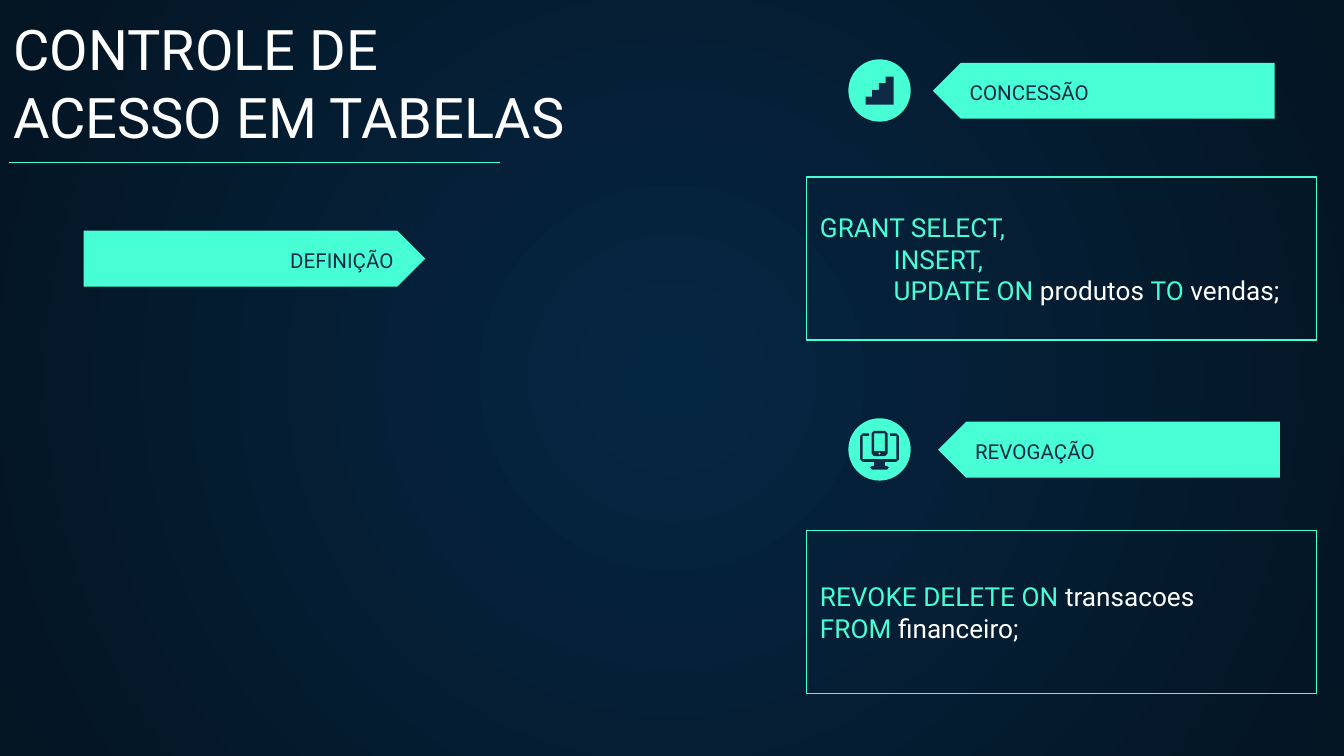
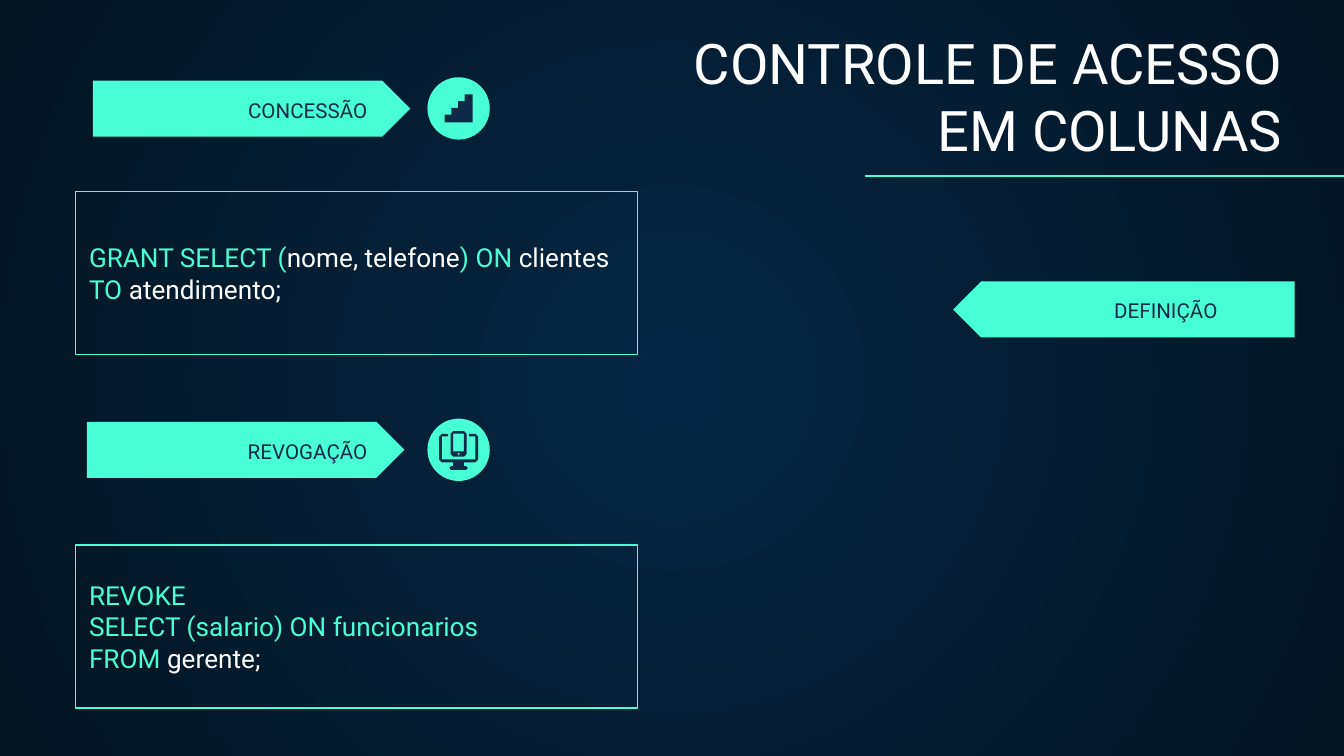
from lxml.etree import SubElement
from pptx import Presentation
from pptx.dml.color import RGBColor
from pptx.enum.shapes import MSO_CONNECTOR as CONN, MSO_SHAPE as SHP
from pptx.enum.text import MSO_ANCHOR as ANC, PP_ALIGN as AL
from pptx.oxml.ns import qn
from pptx.util import Pt

MINT, NAVY, WHITE = "48FFD5", "0E2A47", "FFFFFF"
GLOW, EDGE = "052643", "041523"
FRAME = {"word_wrap": True, "margin_left": Pt(7.2), "margin_right": Pt(7.2),
         "margin_top": Pt(7.2), "margin_bottom": Pt(7.2)}


def rgb(value):
    """Turn a hex string into a colour."""
    return RGBColor.from_string(value)


def mirror(half):
    """Close a right half outline with its reflection about x = 0."""
    return half + [(-x, y) for x, y in reversed(half) if x]


def stairs():
    """Return the outline of a four-step staircase."""
    pts = [(7.5, 7.5), (-7.5, 7.5)]
    for i in range(4):
        x, y = -7.5 + 3.6 * i, 3.3 - 3.6 * i
        pts += [(x, y), (x + 3.6 if i < 3 else 7.5, y)]
    return pts


STAIRS = [[stairs()]]
DEVICES = [
    [mirror([(0, 10.8), (4, 10.8), (5, 9.7), (4, 8.8), (2.9, 8.8),
             (2.9, 6.7), (9, 6.7), (10.4, 5.3), (10.4, -7.2), (9, -8.6),
             (5.6, -8.6), (5.6, -7.2), (9, -7.2), (9, 5.2), (0, 5.2)])],
    [mirror([(0, -10), (2.9, -10), (4.3, -8.6), (4.3, 2.2), (2.9, 3.6), (0, 3.6)]),
     mirror([(0, 0.9), (2.9, 0.9), (2.9, -8.6), (0, -8.6)]),
     mirror([(0, 2.9), (0.7, 2.2), (0, 1.5)])],
]


class Deck:
    """Holds the shared style and the current slide."""

    def __init__(self):
        """Set the slide size and the radial background."""
        self.prs = Presentation()
        self.prs.slide_width, self.prs.slide_height = Pt(720), Pt(405)
        self.s = None
        master = self.prs.slide_master
        fill = master.background.fill
        fill.gradient()
        for stop, pos, color in zip(fill.gradient_stops, (0, 1), (GLOW, EDGE)):
            stop.position = pos
            stop.color.rgb = rgb(color)
        grad = master.element.xpath("p:cSld/p:bg//a:gradFill")[0]
        for lin in grad.findall(qn("a:lin")):
            grad.remove(lin)
        circle = SubElement(grad, qn("a:path"), {"path": "circle"})
        SubElement(circle, qn("a:fillToRect"), dict.fromkeys("ltrb", "50000"))

    def slide(self):
        """Start a blank slide."""
        self.s = self.prs.slides.add_slide(self.prs.slide_layouts[6])

    def paint(self, sp, fill=None, line=None):
        """Apply flat fill and line to a shape."""
        sp.shadow.inherit = False
        for part, color in ((sp.fill, fill), (sp.line.fill, line)):
            if color:
                part.solid()
                part.fore_color.rgb = rgb(color)
            else:
                part.background()
        if line:
            sp.line.width = Pt(0.75)

    def shape(self, kind, box, fill=None, line=None):
        """Add a preset shape."""
        sp = self.s.shapes.add_shape(kind, *map(Pt, box))
        self.paint(sp, fill, line)
        return sp

    def fill_text(self, sp, lines, size, colors, align=AL.LEFT, anchor=ANC.BOTTOM):
        """Fill a frame with lines whose runs alternate between colours."""
        tf = sp.text_frame
        for name, value in {**FRAME, "vertical_anchor": anchor}.items():
            setattr(tf, name, value)
        for i, line in enumerate(lines):
            p = tf.add_paragraph() if i else tf.paragraphs[0]
            p.alignment = align
            if line[0].startswith(" "):
                p._p.get_or_add_pPr().set("indent", str(Pt(36)))
            for j, text in enumerate(line):
                r = p.add_run()
                r.text = text
                for name, value in {"name": "Roboto", "size": Pt(size)}.items():
                    setattr(r.font, name, value)
                r.font.color.rgb = rgb(colors[j % len(colors)])

    def text(self, box, lines, size, color, align):
        """Add a one-colour text box."""
        sp = self.s.shapes.add_textbox(*map(Pt, box))
        self.fill_text(sp, [[t] for t in lines], size, [color], align)

    def title(self, box, lines, align, x1, x2):
        """Add the slide title and the rule under it."""
        self.text(box, lines, 30, WHITE, align)
        y = Pt(box[1] + box[3])
        c = self.s.shapes.add_connector(CONN.STRAIGHT, Pt(x1), y, Pt(x2), y)
        c.line.color.rgb = rgb(MINT)
        c.line.width = Pt(0.75)
        SubElement(c.element.spPr, qn("a:effectLst"))

    def tag(self, x, y, text, text_x, width=183, flip=False, align=AL.RIGHT):
        """Add an arrow-shaped label."""
        sp = self.shape(SHP.PENTAGON, (x, y, width, 30), MINT)
        sp.rotation = 180 if flip else 0
        self.text((text_x, y + 0.9, 163.4, 28), [text], 11, NAVY, align)

    def icon(self, cx, cy, parts):
        """Add a round badge with an outline icon in its centre."""
        self.shape(SHP.OVAL, (cx - 16.7, cy - 16.7, 33.4, 33.4), MINT)
        for loops in parts:
            fb = None
            for loop in loops:
                pts = [(Pt(cx + x), Pt(cy + y)) for x, y in loop]
                if fb:
                    fb.move_to(*pts[0])
                else:
                    fb = self.s.shapes.build_freeform(*pts[0])
                fb.add_line_segments(pts[1:], close=True)
            self.paint(fb.convert_to_shape(), NAVY)

    def code(self, x, y, width, lines):
        """Add a framed statement with keywords and names in turn."""
        sp = self.shape(SHP.RECTANGLE, (x, y, width, 87.3), line=MINT)
        self.fill_text(sp, lines, 14, [MINT, WHITE], anchor=ANC.MIDDLE)


def tables(d):
    """Build the slide on table access."""
    d.slide()
    d.title((0, 0, 350, 87.2), ["CONTROLE DE", "ACESSO EM TABELAS"], AL.LEFT, 5, 267.8)
    d.tag(44.8, 123.6, "DEFINIÇÃO", 54.6)
    d.tag(499.8, 33.6, "CONCESSÃO", 512.4, flip=True, align=AL.LEFT)
    d.icon(471.2, 48.5, STAIRS)
    d.code(432.2, 94.9, 273, [
        ["GRANT SELECT,"], [" INSERT,"],
        [" UPDATE ON ", "produtos ", "TO ", "vendas;"]])
    d.tag(502.6, 225.9, "REVOGAÇÃO", 515.3, flip=True, align=AL.LEFT)
    d.icon(471.2, 240.8, DEVICES)
    d.code(432.2, 284.2, 273, [
        ["REVOKE DELETE ON ", "transacoes"], ["FROM ", "financeiro;"]])


def columns(d):
    """Build the slide on column access."""
    d.slide()
    d.title((358, 7.1, 336, 87.2), ["CONTROLE DE ACESSO EM COLUNAS"], AL.RIGHT, 463.3, 726.3)
    d.tag(510.6, 150.8, "DEFINIÇÃO", 496, flip=True)
    d.tag(49.8, 43.2, "CONCESSÃO", 40.6, width=170)
    d.icon(245.7, 58.1, STAIRS)
    d.code(40.6, 102.7, 301, [
        ["GRANT SELECT (", "nome, telefone", ") ON ", "clientes"],
        ["TO ", "atendimento;"]])
    d.tag(46.6, 226, "REVOGAÇÃO", 40.6, width=170)
    d.icon(245.7, 241, DEVICES)
    d.code(40.6, 292, 301, [
        ["REVOKE"], ["SELECT (salario) ON funcionarios"], ["FROM ", "gerente;"]])


def main():
    """Build and save the presentation."""
    d = Deck()
    tables(d)
    columns(d)
    d.prs.save("out.pptx")


if __name__ == "__main__":
    main()
